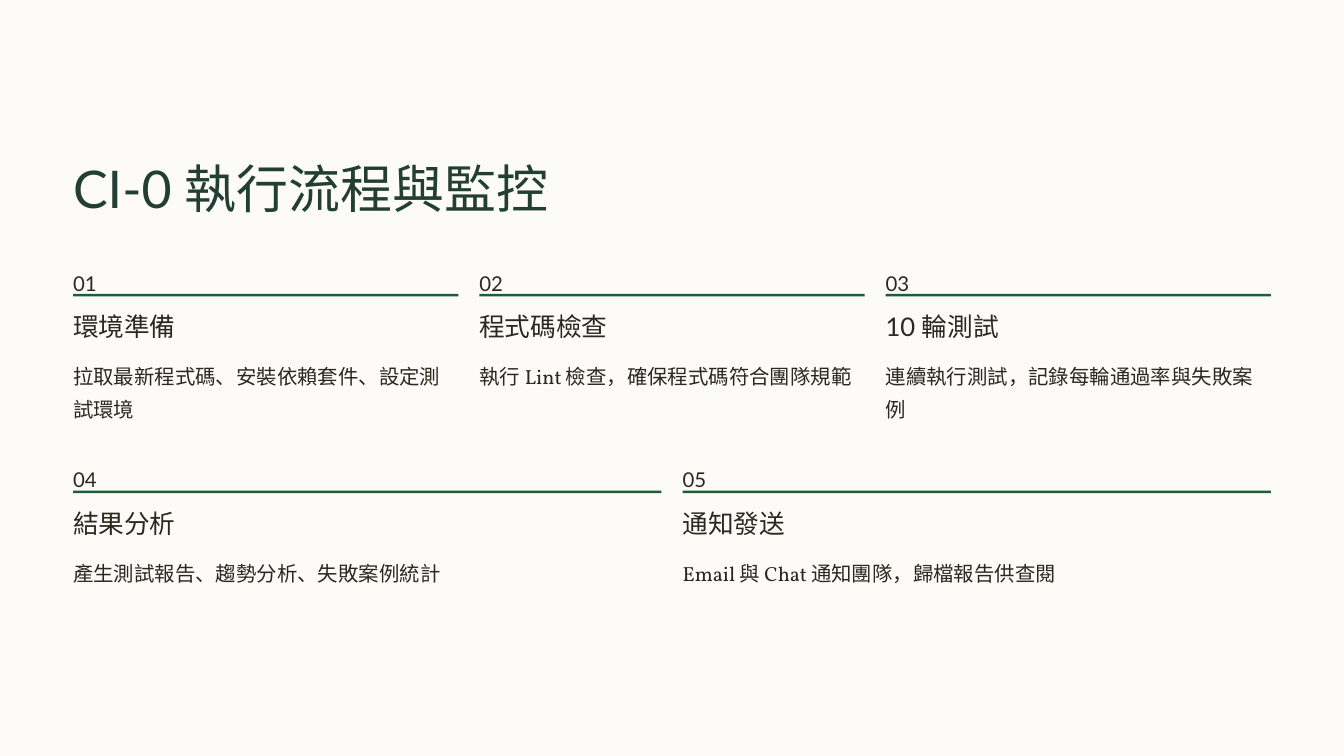
from pptx import Presentation
from pptx import util as u
from pptx.dml.color import RGBColor
from pptx.enum import shapes, text

PAPER = RGBColor(0xFC, 0xFB, 0xF8)
FOREST = RGBColor(0x23, 0x3E, 0x32)
GREEN = RGBColor(0x1B, 0x5F, 0x39)
INK = RGBColor(0x2C, 0x28, 0x21)

HEADING_FONT, BODY_FONT = "Lato", "Vollkorn"

# Each row of the grid holds (title, description) steps that share its width.
STEP_ROWS = [
    [("環境準備", "拉取最新程式碼、安裝依賴套件、設定測試環境"),
     ("程式碼檢查", "執行 Lint 檢查，確保程式碼符合團隊規範"),
     ("10 輪測試", "連續執行測試，記錄每輪通過率與失敗案例")],
    [("結果分析", "產生測試報告、趨勢分析、失敗案例統計"),
     ("通知發送", "Email 與 Chat 通知團隊，歸檔報告供查閱")],
]


class Deck:
    """A slide on a six-column grid; drops are inches below a row's top."""
    COLUMNS, LEFT, WIDTH, GAP = 6, 0.87, 14.26, 0.25
    TOP, ROW_PITCH = 3.12, 2.34

    def __init__(self):
        self.prs = Presentation()
        self.prs.slide_width, self.prs.slide_height = u.Inches(16), u.Inches(9)
        self.slide = self.prs.slides.add_slide(self.prs.slide_layouts[6])
        fill = self.slide.background.fill
        fill.solid()
        fill.fore_color.rgb = PAPER

    def frame(self, column, span, row, drop, height):
        """Turn a grid place into left, top, width and height."""
        unit = (self.WIDTH + self.GAP) / self.COLUMNS
        box = (self.LEFT + column * unit, self.TOP + row * self.ROW_PITCH + drop,
               span * unit - self.GAP, height)
        return [u.Inches(length) for length in box]

    def label(self, place, words, size, leading, font=HEADING_FONT, color=INK):
        tf = self.slide.shapes.add_textbox(*self.frame(*place)).text_frame
        tf.margin_left = tf.margin_top = tf.margin_right = tf.margin_bottom = 0
        tf.word_wrap = True
        tf.auto_size = text.MSO_AUTO_SIZE.NONE
        tf.text = words
        p = tf.paragraphs[0]
        p.line_spacing = u.Pt(leading)
        r = p.runs[0]
        r.font.name, r.font.size = font, u.Pt(size)
        r.font.color.rgb = color

    def rule(self, place):
        sp = self.slide.shapes.add_shape(
            shapes.MSO_SHAPE.RECTANGLE, *self.frame(*place))
        sp.shadow.inherit = False
        sp.fill.solid()
        sp.fill.fore_color.rgb = GREEN
        sp.line.fill.background()

    def step(self, column, span, row, number, title, description):
        cell = (column, span, row)
        self.label((*cell, 0, 0.31), f"{number:02}", 17.5, 28.5)
        self.rule((*cell, 0.38, 0.03))
        self.label((*cell, 0.57, 0.39), title, 22, 27.5)
        self.label((*cell, 1.11, 0.79), description, 17.5, 28.5, BODY_FONT)


def main():
    deck = Deck()
    deck.label((0, 6, 0, -1.28, 0.78), "CI-0 執行流程與監控", 44.5, 55.5,
               color=FOREST)
    number = 0
    for row, steps in enumerate(STEP_ROWS):
        span = deck.COLUMNS // len(steps)
        for i, (title, description) in enumerate(steps):
            number += 1
            deck.step(i * span, span, row, number, title, description)
    deck.prs.save("out.pptx")


if __name__ == "__main__":
    main()
